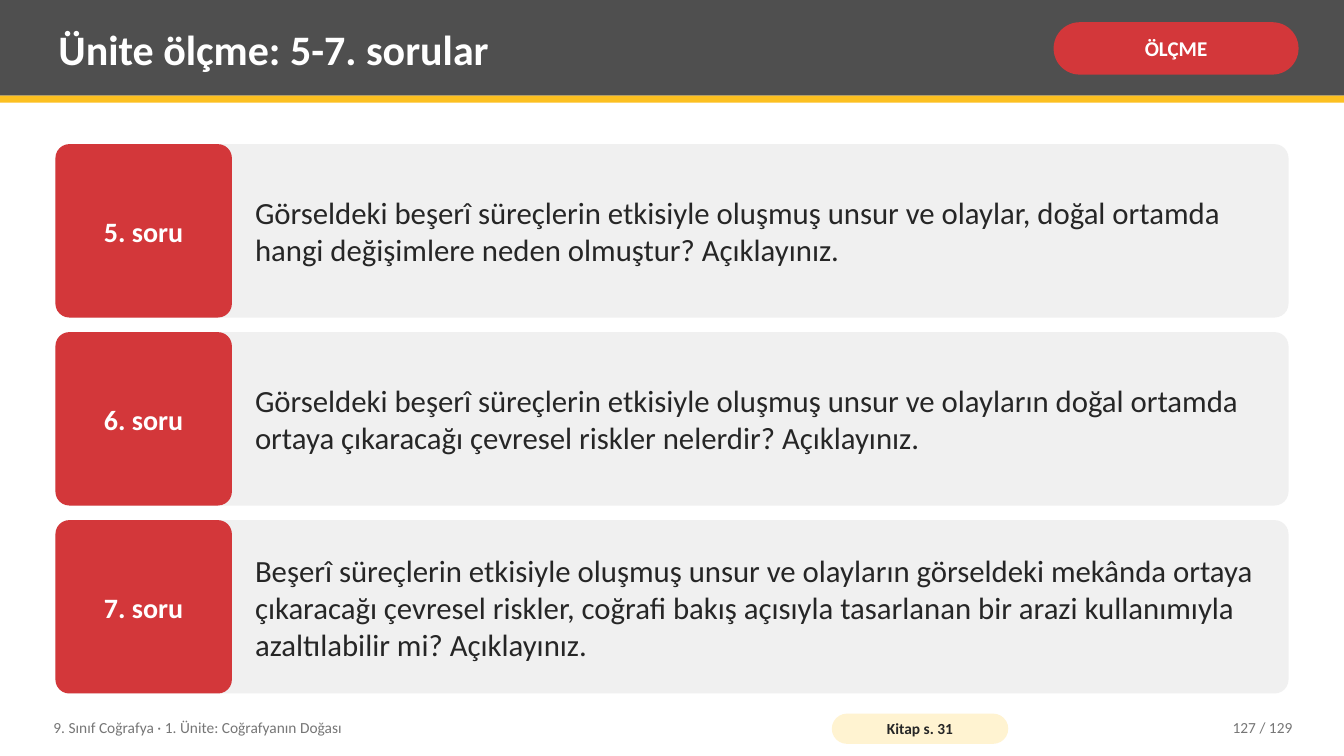
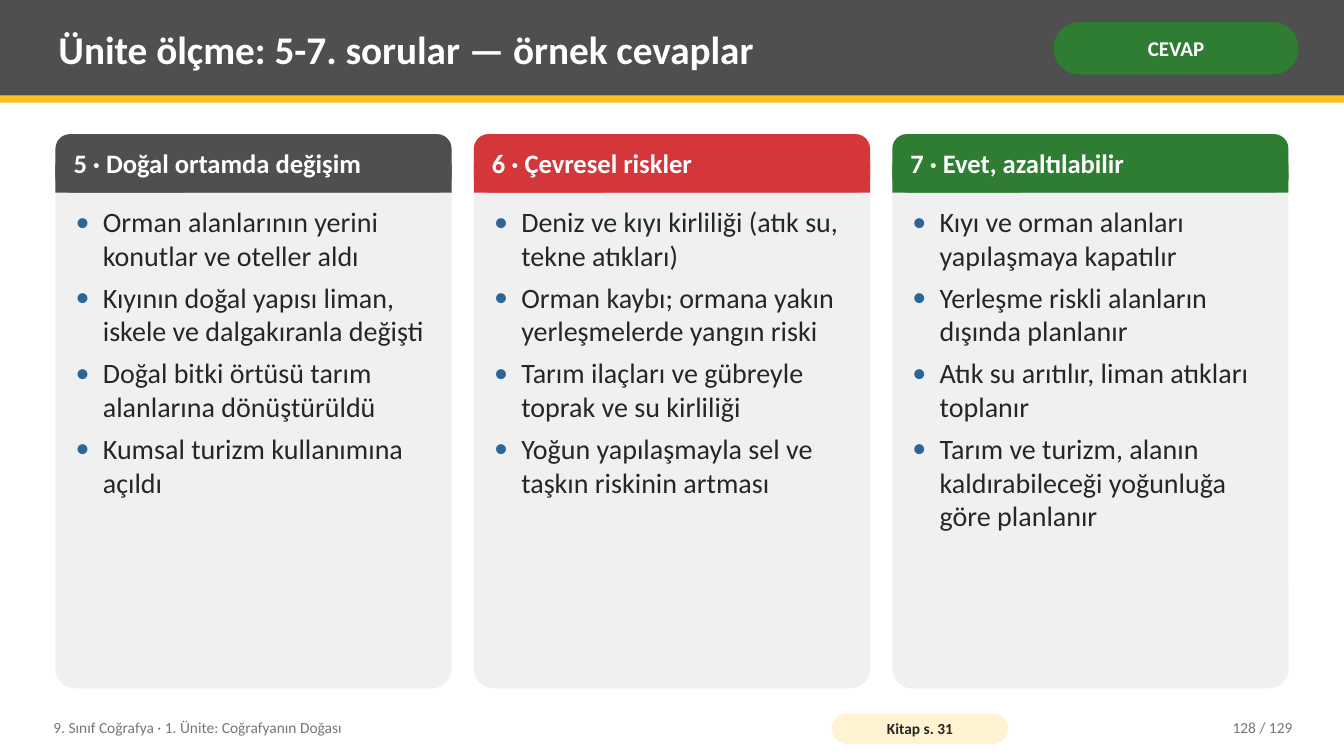
from dataclasses import dataclass

from lxml import etree
from pptx import Presentation
from pptx.dml.color import RGBColor
from pptx.enum.shapes import MSO_SHAPE
from pptx.enum.text import MSO_ANCHOR, MSO_AUTO_SIZE, PP_ALIGN
from pptx.oxml.ns import qn
from pptx.util import Inches, Pt

RECT, ROUND = MSO_SHAPE.RECTANGLE, MSO_SHAPE.ROUNDED_RECTANGLE
LEFT, CENTER, RIGHT = PP_ALIGN.LEFT, PP_ALIGN.CENTER, PP_ALIGN.RIGHT
TOP, MIDDLE = MSO_ANCHOR.TOP, MSO_ANCHOR.MIDDLE
TITLE_ONLY, COMPARISON = 5, 4  # layouts of the default template


@dataclass(frozen=True)
class Theme:
    font: str = "Calibri"
    dark: str = "4F4F4F"
    yellow: str = "FCC021"
    red: str = "D3373A"
    green: str = "2E7D32"
    blue: str = "2C6696"
    panel: str = "F0F0F0"
    cream: str = "FFF3D1"
    white: str = "FFFFFF"
    ink: str = "262626"
    muted: str = "767676"
    question: int = 22
    label: int = 20
    bullet: int = 20
    heading: int = 19
    badge: int = 15
    footer: int = 11


@dataclass(frozen=True)
class Box:
    x: float
    y: float
    w: float
    h: float

    def emu(self) -> tuple:
        return tuple(Inches(v) for v in (self.x, self.y, self.w, self.h))


@dataclass(frozen=True)
class TextStyle:
    size: int
    color: str
    bold: bool = False
    align: int = LEFT
    anchor: int = MIDDLE
    inset: tuple = (0.08, 0.04)


@dataclass(frozen=True)
class Question:
    label: str
    text: str


@dataclass(frozen=True)
class Answer:
    heading: str
    color: str
    points: tuple


T = Theme()
WIDTH, HEIGHT = 13.33, 7.5
MARGIN, CONTENT_W = 0.55, 12.23
FOOTER = "9. Sınıf Coğrafya · 1. Ünite: Coğrafyanın Doğası"
BOOK_PAGE = "Kitap s. 31"
PAGES = 129

QUESTIONS = (
    Question("5. soru", "Görseldeki beşerî süreçlerin etkisiyle oluşmuş unsur ve olaylar, "
             "doğal ortamda hangi değişimlere neden olmuştur? Açıklayınız."),
    Question("6. soru", "Görseldeki beşerî süreçlerin etkisiyle oluşmuş unsur ve olayların "
             "doğal ortamda ortaya çıkaracağı çevresel riskler nelerdir? Açıklayınız."),
    Question("7. soru", "Beşerî süreçlerin etkisiyle oluşmuş unsur ve olayların görseldeki "
             "mekânda ortaya çıkaracağı çevresel riskler, coğrafi bakış açısıyla tasarlanan "
             "bir arazi kullanımıyla azaltılabilir mi? Açıklayınız."),
)
ANSWERS = (
    Answer("5 · Doğal ortamda değişim", T.dark, (
        "Orman alanlarının yerini konutlar ve oteller aldı",
        "Kıyının doğal yapısı liman, iskele ve dalgakıranla değişti",
        "Doğal bitki örtüsü tarım alanlarına dönüştürüldü",
        "Kumsal turizm kullanımına açıldı")),
    Answer("6 · Çevresel riskler", T.red, (
        "Deniz ve kıyı kirliliği (atık su, tekne atıkları)",
        "Orman kaybı; ormana yakın yerleşmelerde yangın riski",
        "Tarım ilaçları ve gübreyle toprak ve su kirliliği",
        "Yoğun yapılaşmayla sel ve taşkın riskinin artması")),
    Answer("7 · Evet, azaltılabilir", T.green, (
        "Kıyı ve orman alanları yapılaşmaya kapatılır",
        "Yerleşme riskli alanların dışında planlanır",
        "Atık su arıtılır, liman atıkları toplanır",
        "Tarım ve turizm, alanın kaldırabileceği yoğunluğa göre planlanır")),
)


# Text and shape helpers
def set_all(obj, values: dict) -> None:
    for name, value in values.items():
        setattr(obj, name, value)


def add_bullet(p) -> None:
    pPr = p._p.get_or_add_pPr()
    pPr.set("marL", str(Inches(0.27)))
    pPr.set("indent", str(-Inches(0.27)))
    color = etree.SubElement(pPr, qn("a:buClr"))
    etree.SubElement(color, qn("a:srgbClr")).set("val", T.blue)
    etree.SubElement(pPr, qn("a:buFont")).set("typeface", T.font)
    etree.SubElement(pPr, qn("a:buChar")).set("char", "•")


def write(sp, lines: tuple, style: TextStyle, bullets: bool = False) -> None:
    tf = sp.text_frame
    dx, dy = (Inches(v) for v in style.inset)
    set_all(tf, dict(word_wrap=True, auto_size=MSO_AUTO_SIZE.NONE,
                     vertical_anchor=style.anchor, margin_left=dx,
                     margin_right=dx, margin_top=dy, margin_bottom=dy))
    for i, line in enumerate(lines):
        p = tf.add_paragraph() if i else tf.paragraphs[0]
        if bullets:
            add_bullet(p)
        last = i == len(lines) - 1
        set_all(p, dict(alignment=style.align, line_spacing=1.0,
                        space_before=Pt(0), space_after=Pt(0 if last else 6)))
        r = p.add_run()
        r.text = line
        set_all(r.font, dict(name=T.font, size=Pt(style.size), bold=style.bold))
        r.font.color.rgb = RGBColor.from_string(style.color)


def add_block(s, box: Box, fill: str, radius: float = 0, text: str = "",
              style: TextStyle | None = None) -> None:
    sp = s.shapes.add_shape(ROUND if radius else RECT, *box.emu())
    sp.shadow.inherit = False
    sp.fill.solid()
    sp.fill.fore_color.rgb = RGBColor.from_string(fill)
    sp.line.fill.background()
    if radius:
        sp.adjustments[0] = radius
    if style:
        write(sp, (text,), style)


def add_text(s, box: Box, text: str, style: TextStyle) -> None:
    write(s.shapes.add_textbox(*box.emu()), (text,), style)


def fill_placeholder(s, sp, box: Box, lines: tuple, style: TextStyle,
                     bullets: bool = False) -> None:
    s.shapes._spTree.append(sp._element)  # bring above the panels drawn so far
    set_all(sp, dict(zip(("left", "top", "width", "height"), box.emu())))
    write(sp, lines, style, bullets)


# Shared header and footer
def add_header(s, title: str, size: int, badge: str, color: str) -> None:
    add_block(s, Box(0, 0, WIDTH, 0.95), T.dark)
    add_block(s, Box(0, 0.95, WIDTH, 0.07), T.yellow)
    fill_placeholder(s, s.shapes.title, Box(0.5, 0.07, 9.75, 0.82), (title,),
                     TextStyle(size, T.white, True))
    add_block(s, Box(10.45, 0.22, 2.43, 0.52), color, 0.5, badge,
              TextStyle(T.badge, T.white, True, CENTER, inset=(0.05, 0.02)))


def add_footer(s, page: int) -> None:
    add_text(s, Box(0.45, 7.04, 7.6, 0.36), FOOTER, TextStyle(T.footer, T.muted))
    add_block(s, Box(8.25, 7.08, 1.75, 0.3), T.cream, 0.5, BOOK_PAGE,
              TextStyle(T.footer, T.ink, True, CENTER, inset=(0.04, 0)))
    add_text(s, Box(11.3, 7.04, 1.6, 0.36), f"{page} / {PAGES}",
             TextStyle(T.footer, T.muted, align=RIGHT))


# Slide content
def add_question(s, q: Question, y: float, h: float) -> None:
    add_block(s, Box(MARGIN, y, CONTENT_W, h), T.panel, 0.08)
    add_block(s, Box(MARGIN, y, 1.75, h), T.red, 0.08, q.label,
              TextStyle(T.label, T.white, True, CENTER, inset=(0.06, 0.08)))
    add_text(s, Box(2.45, y, 10.23, h), q.text, TextStyle(T.question, T.ink))


def add_answer(s, body, a: Answer, x: float, w: float) -> None:
    y, head = 1.33, 0.58
    add_block(s, Box(x, y, w, 5.5), T.panel, 0.05)
    add_block(s, Box(x, y, w, head), a.color, 0.25)
    add_block(s, Box(x, y + head / 2, w, head / 2), a.color)
    add_text(s, Box(x + 0.1, y, w - 0.2, head), a.heading,
             TextStyle(T.heading, T.white, True))
    fill_placeholder(s, body, Box(x + 0.12, y + 0.66, w - 0.24, 4.76), a.points,
                     TextStyle(T.bullet, T.ink, anchor=TOP), bullets=True)


def question_slide(prs) -> None:
    s = prs.slides.add_slide(prs.slide_layouts[TITLE_ONLY])
    add_header(s, "Ünite ölçme: 5-7. sorular", 30, "ÖLÇME", T.red)
    top, bottom, h = 1.43, 6.88, 1.72
    step = (bottom - top - h) / (len(QUESTIONS) - 1)
    for i, q in enumerate(QUESTIONS):
        add_question(s, q, top + i * step, h)
    add_footer(s, 127)


def answer_slide(prs) -> None:
    s = prs.slides.add_slide(prs.slide_layouts[COMPARISON])
    bodies = [sp for sp in s.placeholders if sp.placeholder_format.idx]
    add_header(s, "Ünite ölçme: 5-7. sorular — örnek cevaplar", 28, "CEVAP", T.green)
    w = 3.93
    step = (CONTENT_W - w) / (len(ANSWERS) - 1)
    for i, (body, a) in enumerate(zip(bodies, ANSWERS)):
        add_answer(s, body, a, MARGIN + i * step, w)
    for sp in bodies[len(ANSWERS):]:
        s.shapes._spTree.remove(sp._element)
    add_footer(s, 128)


def main() -> None:
    prs = Presentation()
    prs.slide_width, prs.slide_height = Inches(WIDTH), Inches(HEIGHT)
    question_slide(prs)
    answer_slide(prs)
    prs.save("out.pptx")


if __name__ == "__main__":
    main()
